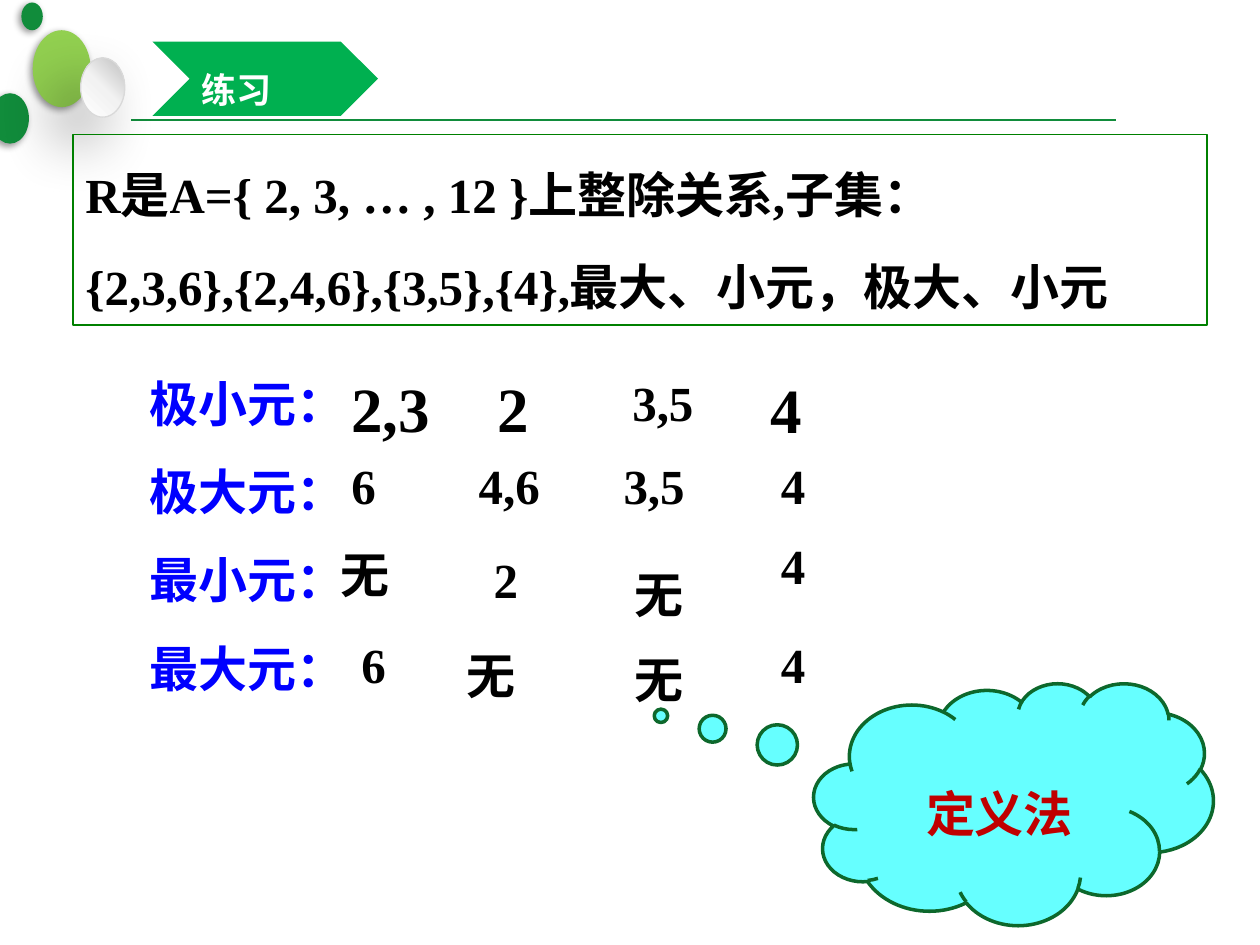
"""Builds the practice slide on minimal, maximal, least and greatest elements."""
import pptx
import pptx.dml.color
import pptx.enum.shapes
import pptx.enum.text
import pptx.oxml
import pptx.oxml.ns
import pptx.util
from lxml import etree

Inches, Pt = pptx.util.Inches, pptx.util.Pt
RGB = pptx.dml.color.RGBColor.from_string
SHAPE = pptx.enum.shapes.MSO_SHAPE
ALIGN = pptx.enum.text.PP_ALIGN
ANCHOR = pptx.enum.text.MSO_ANCHOR
FIT = pptx.enum.text.MSO_AUTO_SIZE
qn = pptx.oxml.ns.qn
NAMESPACE = pptx.oxml.ns.nsdecls("a")
SERIF, SANS = "Times New Roman", "Noto Sans CJK SC"
COLORS = {
    "green": "118C3B", "lime": "92D050", "pearl": "F2F2F2", "silver": "BFBFBF",
    "rim": "D9D9D9", "white": "FFFFFF", "black": "000000", "frame": "008000",
    "label": "0000FF", "banner": "00B050", "cloud": "66FFFF", "outline": "0D682C",
    "red": "C00000",
}


def write(shape, lines, size, color, font=SERIF, spacing=1.5, align=ALIGN.LEFT):
    frame = shape.text_frame
    frame.text = "\n".join(lines)
    for para in frame.paragraphs:
        para.alignment = align
        para.line_spacing = spacing
        para.space_before = Pt(0)
        for span in para.runs:
            span.font.name = font
            span.font.size = Pt(size)
            span.font.bold = True
            span.font.color.rgb = RGB(COLORS[color])
            latin = span.font._element.find(qn("a:latin"))
            latin.addnext(pptx.oxml.parse_xml(f'<a:ea {NAMESPACE} typeface="{SANS}"/>'))
    return frame


def paint(shape, fill, line=None, width=0.75):
    shape.shadow.inherit = False
    if fill:
        shape.fill.solid()
        shape.fill.fore_color.rgb = RGB(COLORS[fill])
    else:
        shape.fill.background()
    if line:
        shape.line.color.rgb = RGB(COLORS[line])
        shape.line.width = Pt(width)
    else:
        shape.line.fill.background()


deck = pptx.Presentation()
deck.slide_width, deck.slide_height = Inches(10), Inches(7.5)
page = deck.slides.add_slide(deck.slide_layouts[1])
shapes = page.shapes

rule = shapes.add_connector(pptx.enum.shapes.MSO_CONNECTOR.STRAIGHT,
                            Inches(1.04), Inches(0.95), Inches(8.86), Inches(0.95))
rule.line.color.rgb = RGB(COLORS["green"])
rule.line.width = Pt(1.25)
etree.SubElement(rule._element.spPr, qn("a:effectLst"))

bubbles = [
    (0.26, 0.24, 0.46, 0.61, "lime", None, 4, 2),
    (-0.07, 0.74, 0.3, 0.4, "green", None, 4, 2),
    (0.64, 0.46, 0.35, 0.47, "pearl", "rim", 35, 20),
    (0.17, 0.02, 0.17, 0.22, "green", None, 4, 2),
]
for left, top, width, height, fill, line, blur, distance in bubbles:
    bubble = shapes.add_shape(SHAPE.OVAL, Inches(left), Inches(top), Inches(width), Inches(height))
    paint(bubble, fill, line)
    properties = bubble._element.spPr
    properties.find(qn("a:effectLst")).append(pptx.oxml.parse_xml(
        f'<a:outerShdw {NAMESPACE} blurRad="{Pt(blur)}" dist="{Pt(distance)}" dir="8100000" '
        f'algn="ctr" rotWithShape="0"><a:srgbClr val="{COLORS["black"]}">'
        '<a:alpha val="40000"/></a:srgbClr></a:outerShdw>'))
    if fill == "pearl":
        stops = "".join(f'<a:gs pos="{place}"><a:srgbClr val="{COLORS[name]}"/></a:gs>'
                        for place, name in ((0, "white"), (50000, "pearl"), (100000, "silver")))
        properties.replace(properties.find(qn("a:solidFill")), pptx.oxml.parse_xml(
            f'<a:gradFill {NAMESPACE}><a:gsLst>{stops}</a:gsLst>'
            '<a:lin ang="18900000" scaled="0"/></a:gradFill>'))

question = shapes.add_shape(SHAPE.RECTANGLE, Inches(0.58), Inches(1.07), Inches(9), Inches(1.51))
paint(question, None, "frame")
frame = write(question, ["R是A={ 2, 3, … , 12 }上整除关系,子集：",
                         "{2,3,6},{2,4,6},{3,5},{4},最大、小元，极大、小元"], 28, "black", spacing=1.4)
frame.vertical_anchor = ANCHOR.TOP
frame.auto_size = FIT.SHAPE_TO_FIT_TEXT
frame.paragraphs[1].space_before = Pt(5.6)
for para in frame.paragraphs:
    indent = para._p.get_or_add_pPr()
    indent.set("marL", str(Inches(0.5)))
    indent.set("indent", str(Inches(-0.5)))

labels = page.placeholders[1]
labels.left, labels.top, labels.width, labels.height = map(Inches, (1.09, 2.68, 2.52, 2.91))
frame = write(labels, ["极小元：", "极大元：", "最小元：", "最大元："], 28, "label")
frame.auto_size = FIT.SHAPE_TO_FIT_TEXT
for para in frame.paragraphs:
    indent = para._p.get_or_add_pPr()
    indent.set("marL", "0")
    indent.set("indent", "0")
    etree.SubElement(indent, qn("a:buNone"))

answers = [
    ("2,3", 2.69, 2.58, 0.9, 36), ("6", 2.69, 3.33, 0.4, 28),
    ("无", 2.6, 4.04, 0.59, 28), ("6", 2.77, 4.75, 0.4, 28),
    ("2", 3.85, 2.58, 0.45, 36), ("4,6", 3.7, 3.33, 0.69, 28),
    ("2", 3.82, 4.08, 0.4, 28), ("无", 3.6, 4.84, 0.59, 28),
    ("3,5", 4.92, 2.67, 0.69, 28), ("3,5", 4.85, 3.33, 0.69, 28),
    ("无", 4.94, 4.2, 0.59, 28), ("无", 4.94, 4.87, 0.59, 28),
    ("4", 6.02, 2.59, 0.45, 36), ("4", 6.1, 3.33, 0.4, 28),
    ("4", 6.1, 3.97, 0.4, 28), ("4", 6.1, 4.75, 0.4, 28),
]
for text, left, top, width, size in answers:
    height = 1 if size == 36 else 0.81
    answer = shapes.add_textbox(Inches(left), Inches(top), Inches(width), Inches(height))
    frame = write(answer, [text], size, "black")
    frame.word_wrap = False
    frame.auto_size = FIT.SHAPE_TO_FIT_TEXT

banner = shapes.add_shape(SHAPE.CHEVRON, Inches(1.21), Inches(0.33), Inches(1.79), Inches(0.59))
paint(banner, "banner")
title = shapes.title
title.left, title.top, title.width, title.height = map(Inches, (1.5, 0.33, 1.2, 0.59))
banner._element.addnext(title._element)
frame = write(title, ["练习"], 20, "white", SANS)
frame.vertical_anchor = ANCHOR.MIDDLE
frame.auto_size = FIT.NONE

cloud = shapes.add_shape(SHAPE.CLOUD_CALLOUT, Inches(6.46), Inches(5.42), Inches(3.17), Inches(1.92))
cloud.adjustments[0], cloud.adjustments[1] = -0.883, -0.364
paint(cloud, "cloud", "outline", 2)
frame = write(cloud, ["定义法"], 28, "red", SANS, align=ALIGN.CENTER)
frame.vertical_anchor = ANCHOR.MIDDLE

deck.save("out.pptx")
